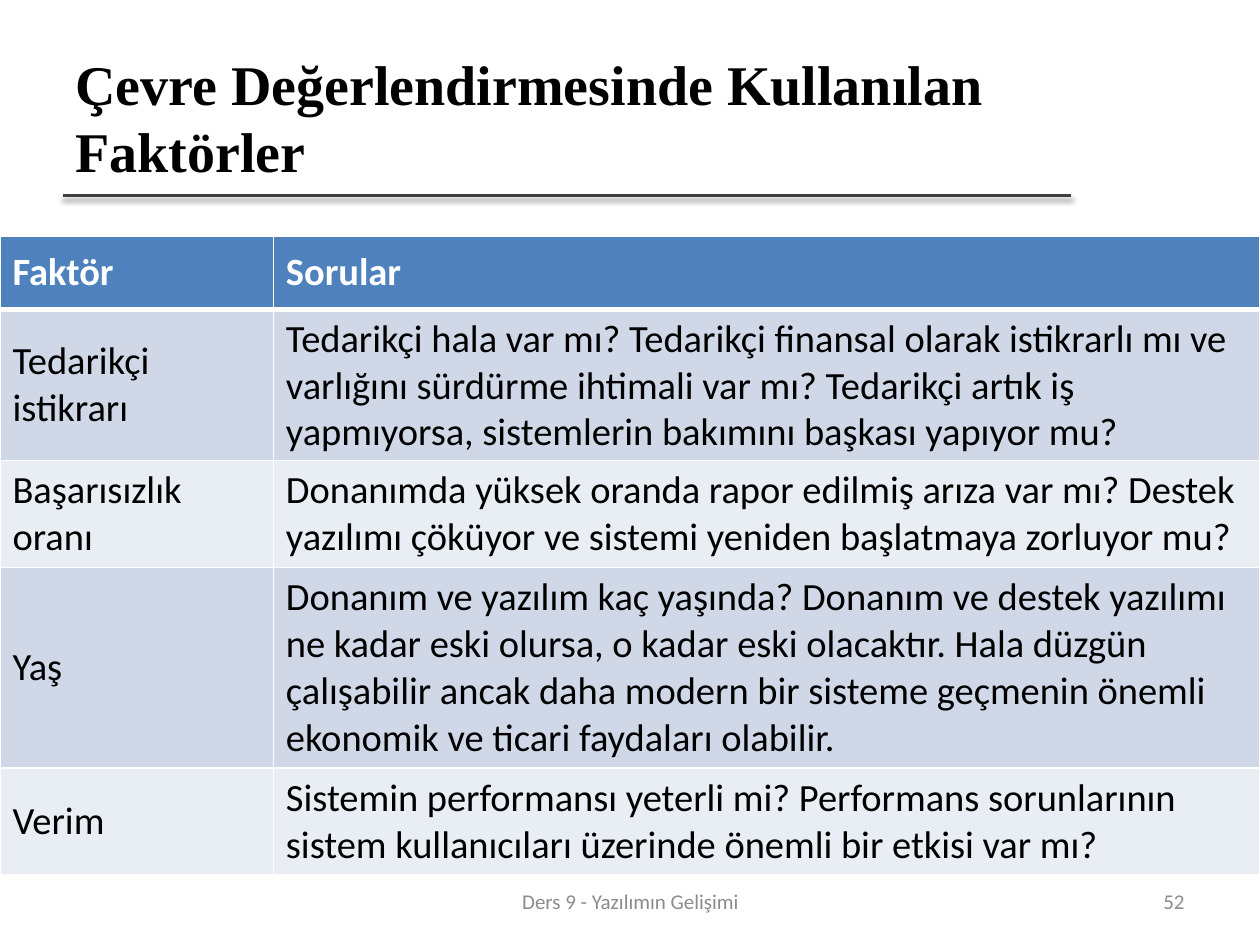
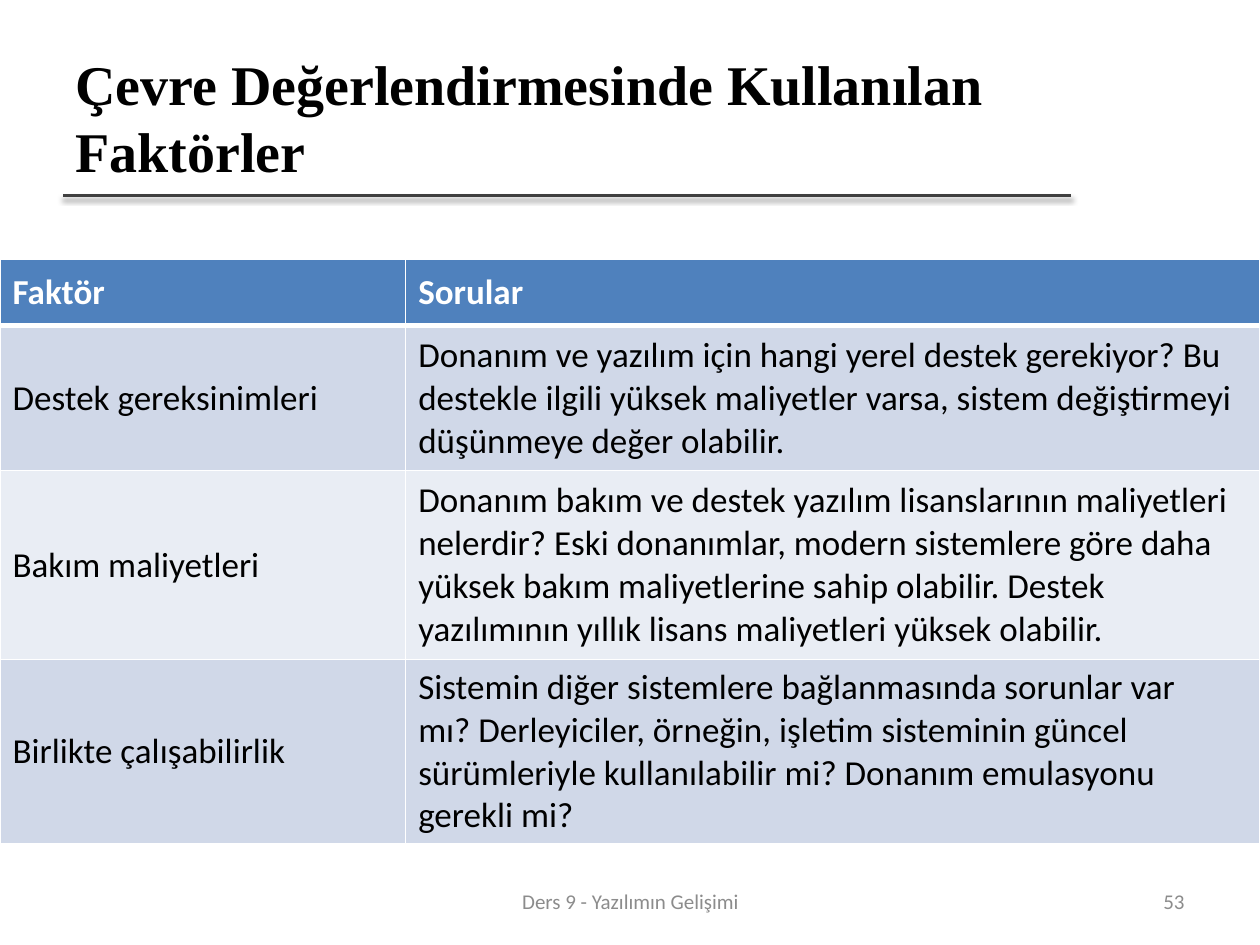
from dataclasses import dataclass

from lxml.etree import SubElement
from pptx import Presentation
from pptx.dml.color import RGBColor
from pptx.enum.shapes import MSO_CONNECTOR
from pptx.enum.text import MSO_ANCHOR, PP_ALIGN
from pptx.oxml import parse_xml
from pptx.oxml.ns import nsdecls, qn
from pptx.util import Inches, Pt


@dataclass(frozen=True)
class Theme:
    """Colours, fonts and type sizes of the deck."""
    ink: str = "000000"
    paper: str = "FFFFFF"
    rule: str = "404040"
    head: str = "4F81BD"
    bands: tuple = ("D0D8E8", "E9EDF4")
    faint: str = "8C8C8C"
    serif: str = "Times New Roman"
    sans: str = "Calibri"
    title: int = 32
    small: int = 12


LOOK = Theme()
WIDE, HIGH = 10, 7.5
GLUE = chr(160)
TITLE = "Çevre Değerlendirmesinde Kullanılan Faktörler"
FOOTER = "Ders 9 - Yazılımın Gelişimi"
HEADS = ("Faktör", "Sorular")

TITLE_BOX = (0.05, 0.04, 0.8, 0.167)
PAGE_BOX = (0.717, 0.927, 0.233, 0.053)
FOOT_BOX = (0.342, 0.927, 0.317, 0.053)

PAGES = [
    dict(
        page=52, size=22, top=0.25, cols=(0.217, 0.783),
        rows=(0.58, 1.2, 0.85, 1.59, 0.85),
        body=[
            ("Tedarikçi istikrarı",
             "Tedarikçi hala var mı? Tedarikçi finansal olarak istikrarlı mı "
             "ve varlığını sürdürme ihtimali var mı? Tedarikçi artık iş "
             "yapmıyorsa, sistemlerin bakımını başkası yapıyor mu?"),
            ("Başarısızlık oranı",
             "Donanımda yüksek oranda rapor edilmiş arıza var mı? Destek "
             "yazılımı çöküyor ve sistemi yeniden başlatmaya zorluyor mu?"),
            ("Yaş",
             "Donanım ve yazılım kaç yaşında? Donanım ve destek yazılımı ne "
             "kadar eski olursa, o kadar eski olacaktır. Hala düzgün "
             "çalışabilir ancak daha modern bir sisteme geçmenin önemli "
             "ekonomik ve ticari faydaları olabilir."),
            ("Verim",
             "Sistemin performansı yeterli mi? Performans sorunlarının "
             "sistem kullanıcıları üzerinde önemli bir etkisi var mı?"),
        ]),
    dict(
        page=53, size=20, top=0.274, cols=(0.322, 0.678),
        rows=(0.53, 1.15, 1.5, 1.46),
        body=[
            ("Destek gereksinimleri",
             "Donanım ve yazılım için hangi yerel destek gerekiyor? Bu "
             "destekle ilgili yüksek maliyetler varsa, sistem değiştirmeyi "
             "düşünmeye değer olabilir."),
            ("Bakım maliyetleri",
             "Donanım bakım ve destek yazılım lisanslarının maliyetleri "
             "nelerdir? Eski donanımlar, modern sistemlere göre daha yüksek "
             "bakım maliyetlerine sahip olabilir. Destek yazılımının yıllık "
             "lisans maliyetleri yüksek olabilir."),
            ("Birlikte çalışabilirlik",
             "Sistemin diğer sistemlere bağlanmasında sorunlar var mı? "
             "Derleyiciler, örneğin, işletim sisteminin güncel sürümleriyle "
             "kullanılabilir mi? Donanım emulasyonu gerekli mi?"),
        ]),
]


def place(box):
    """Turn shares of the slide into lengths."""
    return [Inches(part * side) for part, side in zip(box, (WIDE, HIGH) * 2)]


def style(item, **form):
    """Set each format value on the item."""
    for name, value in form.items():
        setattr(item, name, value)


def write(frame, text, tint, align=PP_ALIGN.LEFT, **form):
    """Write one paragraph in the given format."""
    para = frame.paragraphs[0]
    para.alignment = align
    run = para.add_run()
    run.text = text
    style(run.font, **form)
    run.font.color.rgb = RGBColor.from_string(tint)


def label(slide, box, text, tint, **form):
    """Add a text box centred on its middle line."""
    frame = slide.shapes.add_textbox(*place(box)).text_frame
    style(frame, word_wrap=True, vertical_anchor=MSO_ANCHOR.MIDDLE)
    write(frame, text, tint, **form)


def header(slide, box):
    """Draw the title and the shadowed rule along its foot."""
    left, top, width, height = place(box)
    foot = top + height
    rule = slide.shapes.add_connector(
        MSO_CONNECTOR.STRAIGHT, left, foot, left + width, foot)
    rule.line.width = Pt(2)
    rule.line.color.rgb = RGBColor.from_string(LOOK.rule)
    glow = SubElement(rule._element.spPr, qn("a:effectLst"))
    shade = SubElement(glow, qn("a:outerShdw"), blurRad="40000",
                       dist="20000", dir="5400000", rotWithShape="0")
    tint = SubElement(shade, qn("a:srgbClr"), val=LOOK.ink)
    SubElement(tint, qn("a:alpha"), val="38000")
    label(slide, box, TITLE, LOOK.ink, name=LOOK.serif,
          size=Pt(LOOK.title), bold=True)


def footer(slide, page):
    """Add the page number and the course line."""
    for box, text, align in ((PAGE_BOX, str(page), PP_ALIGN.RIGHT),
                             (FOOT_BOX, FOOTER, PP_ALIGN.CENTER)):
        label(slide, box, text, LOOK.faint, align=align,
              name=LOOK.sans, size=Pt(LOOK.small))


def edge(cell, row):
    """Line the cell, with a thick line below the head row."""
    widths = dict(L=1, R=1, T=3 if row == 1 else 1, B=3 if row == 0 else 1)
    props = cell._tc.get_or_add_tcPr()
    for spot, (side, width) in enumerate(widths.items()):
        props.insert(spot, parse_xml(
            f'<a:ln{side} {nsdecls("a")} w="{Pt(width)}"><a:solidFill>'
            f'<a:srgbClr val="{LOOK.paper}"/></a:solidFill></a:ln{side}>'))


def grid(slide, box, size, cols, rows, body):
    """Fill the box with a table of factors and questions."""
    table = slide.shapes.add_table(len(rows), len(cols), *place(box)).table
    style(table, first_row=False, horz_banding=False)
    for col, share in zip(table.columns, cols):
        col.width = Inches(share * box[2] * WIDE)
    for row, height in zip(table.rows, rows):
        row.height = Inches(height)
    for r, line in enumerate([HEADS, *body]):
        top = r == 0
        fill = LOOK.head if top else LOOK.bands[(r - 1) % 2]
        for c, text in enumerate(line):
            cell = table.cell(r, c)
            cell.vertical_anchor = MSO_ANCHOR.MIDDLE
            cell.fill.solid()
            cell.fill.fore_color.rgb = RGBColor.from_string(fill)
            edge(cell, r)
            text = text.replace("? ", "?" + GLUE).replace(". ", "." + GLUE)
            write(cell.text_frame, text, LOOK.paper if top else LOOK.ink,
                  name=LOOK.sans, size=Pt(size), bold=top)


def sheet(deck, page, size, top, cols, rows, body):
    """Build one slide with title, table and footer."""
    slide = deck.slides.add_slide(deck.slide_layouts[6])
    header(slide, TITLE_BOX)
    grid(slide, (0, top, 1, sum(rows) / HIGH), size, cols, rows, body)
    footer(slide, page)


def main():
    """Build the deck and save it."""
    deck = Presentation()
    style(deck, slide_width=Inches(WIDE), slide_height=Inches(HIGH))
    for page in PAGES:
        sheet(deck, **page)
    deck.save("out.pptx")


if __name__ == "__main__":
    main()
